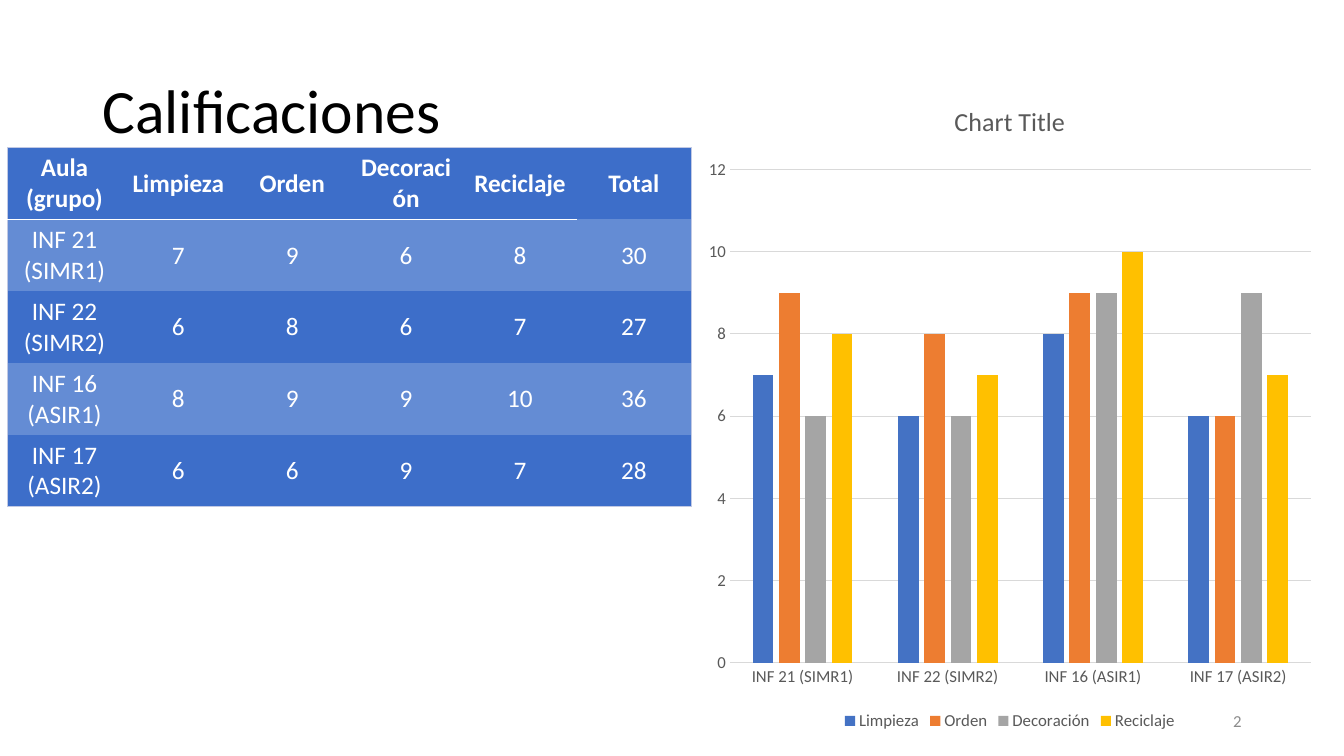
from lxml import etree
from pptx import Presentation
from pptx.chart.data import CategoryChartData
from pptx.dml.color import RGBColor
from pptx.enum.chart import XL_CHART_TYPE, XL_LEGEND_POSITION, XL_TICK_MARK
from pptx.enum.text import MSO_ANCHOR, MSO_AUTO_SIZE, PP_ALIGN
from pptx.oxml.ns import qn
from pptx.util import Cm, Pt

COLUMN_CLUSTERED = XL_CHART_TYPE.COLUMN_CLUSTERED
BOTTOM = XL_LEGEND_POSITION.BOTTOM
NO_TICK = XL_TICK_MARK.NONE
MIDDLE = MSO_ANCHOR.MIDDLE
NO_AUTOFIT = MSO_AUTO_SIZE.NONE
LEFT, CENTER, RIGHT = PP_ALIGN.LEFT, PP_ALIGN.CENTER, PP_ALIGN.RIGHT

FONT = "Calibri"
CHART_TEXT = "595959"
GRID = "D9D9D9"
TABLE_EDGE = ("C1C9E4", 0.5)
HEADER_RULE = ("FFFFFF", 1.5)
ROW_FILLS = ("3D6EC9", "648CD4")
NO_TABLE_STYLE = "{2D5ABB26-0587-4C30-8999-92F81FD0307C}"

CRITERIA = {"Limpieza": "4472C4", "Orden": "ED7D31",
            "Decoración": "A5A5A5", "Reciclaje": "FFC000"}
SCORES = {
    "INF 21 (SIMR1)": (7, 9, 6, 8),
    "INF 22 (SIMR2)": (6, 8, 6, 7),
    "INF 16 (ASIR1)": (8, 9, 9, 10),
    "INF 17 (ASIR2)": (6, 6, 9, 7),
}


def rgb(value):
    return RGBColor.from_string(value)


def set_font(font, size, color, bold=False):
    font.name = FONT
    font.size = Pt(size)
    font.bold = bold
    font.color.rgb = rgb(color)


def write(tf, text, size, color, align, bold=False):
    """Fill a text frame with one formatted paragraph."""
    tf.text = text
    p = tf.paragraphs[0]
    p.alignment = align
    set_font(p.runs[0].font, size, color, bold)
    return p


def place(sp, left, top, width, height):
    sp.left, sp.top = Cm(left), Cm(top)
    sp.width, sp.height = Cm(width), Cm(height)


def add_title(s, text):
    sp = s.shapes.title
    place(sp, 2.33, 1.01, 29.21, 3.68)
    tf = sp.text_frame
    p = write(tf, text, 44, "000000", LEFT)
    p.line_spacing = 0.9
    tf.auto_size = NO_AUTOFIT
    tf.vertical_anchor = MIDDLE


def add_page_number(s, number):
    tf = s.shapes.add_textbox(Cm(23.92), Cm(17.66), Cm(7.62), Cm(1.01)).text_frame
    tf.word_wrap = True
    tf.vertical_anchor = MIDDLE
    write(tf, number, 12, "8C8C8C", RIGHT)


def add_border(cell, side, color, width):
    ln = etree.SubElement(cell._tc.get_or_add_tcPr(), qn(f"a:ln{side}"),
                          w=str(Pt(width)))
    fill = etree.SubElement(ln, qn("a:solidFill"))
    etree.SubElement(fill, qn("a:srgbClr"), val=color)


def add_scores_table(s):
    rows = [["Aula (grupo)", *CRITERIA, "Total"]]
    rows += [[room, *marks, sum(marks)] for room, marks in SCORES.items()]
    last_row, last_col = len(rows) - 1, len(rows[0]) - 1
    table = s.shapes.add_table(len(rows), len(rows[0]), Cm(0.19), Cm(3.72),
                               Cm(17.3), Cm(9.1)).table
    table._tbl.tblPr.find(qn("a:tableStyleId")).text = NO_TABLE_STYLE
    for column in table.columns:
        column.width = Cm(2.87)
    for i, row in enumerate(rows):
        table.rows[i].height = Cm(1.81)
        for j, value in enumerate(row):
            cell = table.cell(i, j)
            cell.vertical_anchor = MIDDLE
            write(cell.text_frame, str(value), 18, "FFFFFF", CENTER, i == 0)
            # The schema fixes the order: left, right, top, bottom, then fill
            edges = {"L": j == 0, "R": j == last_col,
                     "T": i == 0, "B": i == last_row}
            for side, outer in edges.items():
                if outer:
                    add_border(cell, side, *TABLE_EDGE)
            if i == 0 and j < last_col:
                add_border(cell, "B", *HEADER_RULE)
            cell.fill.solid()
            cell.fill.fore_color.rgb = rgb(ROW_FILLS[i % 2])


def style_line(line, color):
    line.color.rgb = rgb(color)
    line.width = Pt(0.75)


def style_axes(chart):
    cat, val = chart.category_axis, chart.value_axis
    for axis in (cat, val):
        axis.major_tick_mark = axis.minor_tick_mark = NO_TICK
        set_font(axis.tick_labels.font, 12, CHART_TEXT)
    style_line(cat.format.line, GRID)
    val.format.line.fill.background()
    val.minimum_scale, val.maximum_scale, val.major_unit = 0, 12, 2
    style_line(val.major_gridlines.format.line, GRID)


def add_scores_chart(s):
    data = CategoryChartData()
    data.categories = list(SCORES)
    for name, values in zip(CRITERIA, zip(*SCORES.values())):
        data.add_series(name, values)
    chart = s.shapes.add_chart(COLUMN_CLUSTERED, Cm(17.55), Cm(2.01),
                               Cm(15.8), Cm(16.51), data).chart
    set_font(chart.font, 10, "000000")
    chart.has_title = True
    write(chart.chart_title.text_frame, "Chart Title", 18.6, CHART_TEXT, CENTER)
    chart.chart_title.include_in_layout = False
    chart.has_legend = True
    chart.legend.position = BOTTOM
    chart.legend.include_in_layout = False
    set_font(chart.legend.font, 12, CHART_TEXT)
    style_axes(chart)
    plot = chart.plots[0]
    plot.gap_width, plot.overlap = 219, -27
    plot.vary_by_categories = False
    for series, color in zip(plot.series, CRITERIA.values()):
        series.format.fill.solid()
        series.format.fill.fore_color.rgb = rgb(color)


def main():
    prs = Presentation()
    prs.slide_width, prs.slide_height = Cm(33.87), Cm(19.05)
    title_only = prs.slide_layouts[5]
    s = prs.slides.add_slide(title_only)
    add_title(s, "Calificaciones")
    add_page_number(s, "2")
    add_scores_table(s)
    add_scores_chart(s)
    prs.save("out.pptx")


if __name__ == "__main__":
    main()
